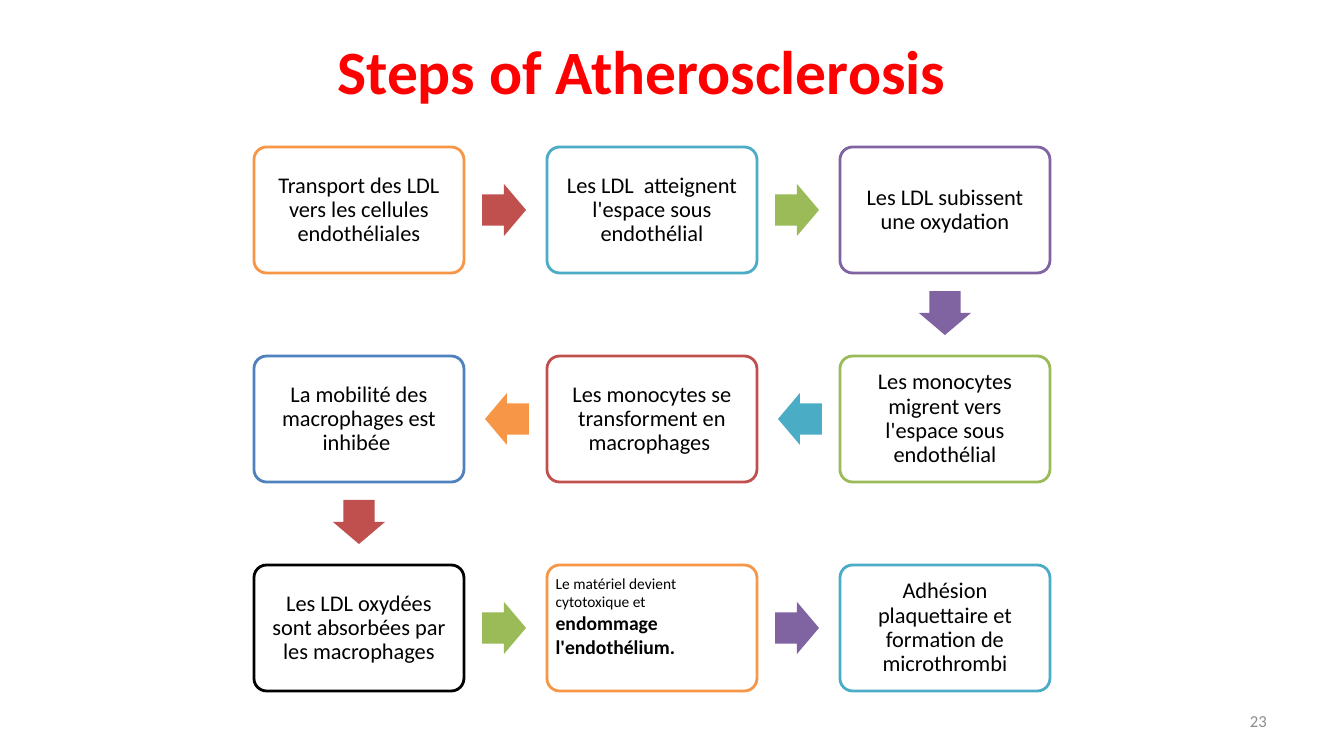
"""Build the slide on the steps of atherosclerosis as a winding flow of boxes and arrows."""
from pptx import Presentation
from pptx import util as u
from pptx.dml.color import RGBColor
from pptx.enum import shapes, text

FONT = "Calibri"
WHITE = RGBColor(0xFF, 0xFF, 0xFF)
BLACK = RGBColor(0x00, 0x00, 0x00)
HEADING_RED = RGBColor(0xFF, 0x00, 0x00)
GREY = RGBColor(0x8C, 0x8C, 0x8C)
BLUE = RGBColor(0x4F, 0x81, 0xBD)
RED = RGBColor(0xC0, 0x50, 0x4D)
GREEN = RGBColor(0x9B, 0xBB, 0x59)
PURPLE = RGBColor(0x80, 0x64, 0xA2)
TEAL = RGBColor(0x4B, 0xAC, 0xC6)
ORANGE = RGBColor(0xF7, 0x96, 0x46)

HEADING = "Steps of Atherosclerosis"
PAGE_NUMBER = "23"
STEPS = [
    ("Transport des LDL vers les cellules endothéliales", ORANGE),
    ("Les LDL  atteignent l'espace sous endothélial", TEAL),
    ("Les LDL subissent une oxydation", PURPLE),
    ("Les monocytes migrent vers l'espace sous endothélial", GREEN),
    ("Les monocytes se transforment en macrophages ", RED),
    ("La mobilité des macrophages est inhibée ", BLUE),
    ("Les LDL oxydées sont absorbées par les macrophages", BLACK),
    ([("Le matériel devient cytotoxique et ", 11, False),
      ("endommage l'endothélium.", 14, True)], ORANGE),
    ("Adhésion plaquettaire et formation de microthrombi", TEAL),
]
ARROW_COLOURS = [RED, GREEN, PURPLE, TEAL, ORANGE, RED, GREEN, PURPLE]
ARROW_KINDS = {
    (1, 0): shapes.MSO_SHAPE.RIGHT_ARROW,
    (-1, 0): shapes.MSO_SHAPE.LEFT_ARROW,
    (0, 1): shapes.MSO_SHAPE.DOWN_ARROW,
}

SLIDE_W, SLIDE_H = 1344, 756
COLUMNS = 3
GRID_X, GRID_Y, PITCH_X, PITCH_Y = 254, 147, 293, 209
STEP_W, STEP_H = 210, 126
ARROW_LENGTH, ARROW_BREADTH, ARROW_GAP = 44, 52, 18


def px(length):
    return u.Emu(round(length * 914400 / 100.8))


def write(frame, runs, colour, align, insets, spacing=1.0):
    frame.word_wrap = True
    frame.vertical_anchor = text.MSO_ANCHOR.MIDDLE
    frame.margin_left, frame.margin_top, frame.margin_right, frame.margin_bottom = map(px, insets)
    paragraph = frame.paragraphs[0]
    paragraph.alignment = align
    paragraph.line_spacing = spacing
    for words, size, bold in runs:
        run = paragraph.add_run()
        run.text = words
        run.font.name, run.font.size, run.font.bold = FONT, u.Pt(size), bold
        run.font.color.rgb = colour


def add_label(slide, box, runs, colour, align):
    label = slide.shapes.add_textbox(*map(px, box))
    write(label.text_frame, runs, colour, align, (10, 5, 10, 5))


def cell(index):
    row, column = divmod(index, COLUMNS)
    return (COLUMNS - 1 - column if row % 2 else column), row


def add_step(slide, index, content, colour):
    column, row = cell(index)
    step = slide.shapes.add_shape(
        shapes.MSO_SHAPE.ROUNDED_RECTANGLE,
        px(GRID_X + column * PITCH_X), px(GRID_Y + row * PITCH_Y), px(STEP_W), px(STEP_H))
    step.adjustments[0] = 0.1
    step.shadow.inherit = False
    step.fill.solid()
    step.fill.fore_color.rgb = WHITE
    step.line.color.rgb = colour
    step.line.width = u.Pt(2)
    if isinstance(content, str):
        write(step.text_frame, [(content, 16, False)], BLACK,
              text.PP_ALIGN.CENTER, (7, 7, 7, 7), 0.9)
    else:
        write(step.text_frame, content, BLACK, text.PP_ALIGN.LEFT, (5, 5, 5, 29))


def add_arrow(slide, index, colour):
    (column, row), (next_column, next_row) = cell(index), cell(index + 1)
    dx, dy = next_column - column, next_row - row
    reach = ARROW_GAP + ARROW_LENGTH / 2
    center_x = GRID_X + column * PITCH_X + STEP_W / 2 + dx * (STEP_W / 2 + reach)
    center_y = GRID_Y + row * PITCH_Y + STEP_H / 2 + dy * (STEP_H / 2 + reach)
    width, height = (ARROW_LENGTH, ARROW_BREADTH) if dx else (ARROW_BREADTH, ARROW_LENGTH)
    arrow = slide.shapes.add_shape(
        ARROW_KINDS[dx, dy], px(center_x - width / 2), px(center_y - height / 2),
        px(width), px(height))
    arrow.adjustments[0], arrow.adjustments[1] = 0.6, 0.5
    arrow.shadow.inherit = False
    arrow.fill.solid()
    arrow.fill.fore_color.rgb = colour
    arrow.line.fill.background()


def main():
    deck = Presentation()
    deck.slide_width, deck.slide_height = px(SLIDE_W), px(SLIDE_H)
    slide = deck.slides.add_slide(deck.slide_layouts[6])
    add_label(slide, (37, 7, 1210, 126), [(HEADING, 44, True)],
              HEADING_RED, text.PP_ALIGN.CENTER)
    for index, (content, colour) in enumerate(STEPS):
        add_step(slide, index, content, colour)
    for index, colour in enumerate(ARROW_COLOURS):
        add_arrow(slide, index, colour)
    add_label(slide, (964, 701, 313, 40), [(PAGE_NUMBER, 12, False)],
              GREY, text.PP_ALIGN.RIGHT)
    deck.save("out.pptx")


if __name__ == "__main__":
    main()
